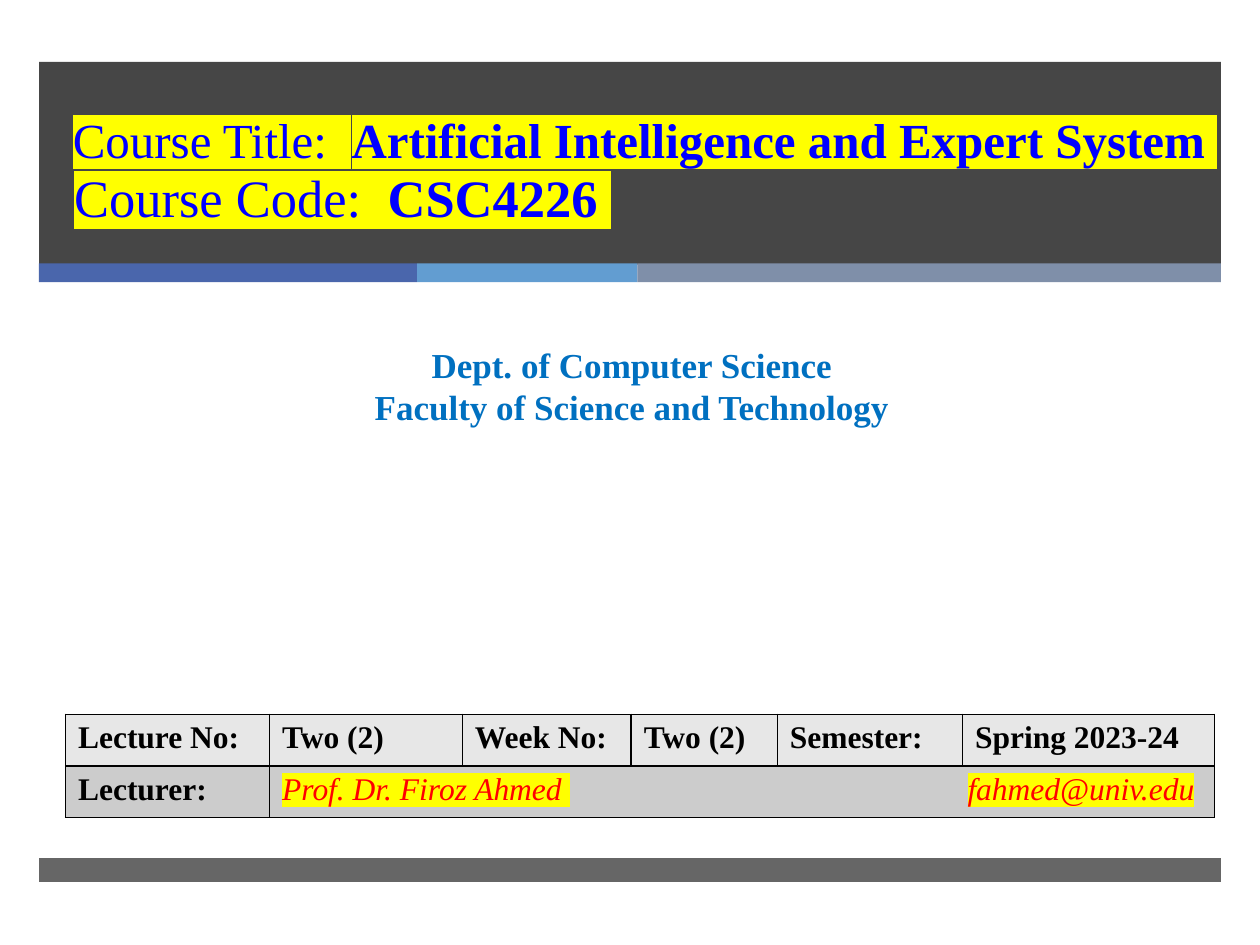
"""Build the title slide of a university course lecture."""
from lxml import etree
from pptx import Presentation, util as u
from pptx.dml.color import RGBColor
from pptx.enum import shapes, text
from pptx.oxml.ns import qn

COLORS = {"dark": "262626", "indigo": "4A66AC", "sky": "629DD1", "slate": "7F8FA9",
          "blue": "0000FF", "azure": "0070C0", "red": "FF0000", "black": "000000",
          "yellow": "FFFF00", "light": "E7E7E7", "grey": "CCCCCC"}
FONT = "Times New Roman"
BAND_LEFT, BAND_WIDTH = 0.31, 9.38
BANDS = [(0.49, 1.61, "dark", 85), (6.81, 0.19, "dark", 70)]
STRIPE_TOP, STRIPE_HEIGHT = 2.09, 0.15
STRIPES = [(3, "indigo"), (1.75, "sky"), (4.63, "slate")]
HEADINGS = [
    ((0.49, 1.22, 4.59, 0.53), 30, 0.09, "Course Code:  ", "CSC4226 "),
    ((0.48, 0.79, 9.29, 0.53), 28, 0.08, "Course Title:  ",
     "Artificial Intelligence and Expert System "),
]
DEPARTMENT = ["Dept. of Computer Science", "Faculty of Science and Technology"]
COLUMNS = [1.62, 1.53, 1.34, 1.16, 1.47, 2]
LECTURE = ["Lecture No:", "Two (2)", "Week No:", "Two (2)", "Semester:", "Spring 2023-24"]
LECTURER = ["Prof. Dr. Firoz Ahmed ", "\t", "fahmed@univ.edu"]
ROW_HEIGHT, EMAIL_TAB = 0.41, 7.24


def rgb(name):
    return RGBColor.from_string(COLORS[name])


def add_color(parent, name):
    return etree.SubElement(parent, qn("a:srgbClr"), val=COLORS[name])


def add_band(slide, left, top, width, height, color, opacity=100):
    band = slide.shapes.add_shape(shapes.MSO_SHAPE.RECTANGLE,
                                  *map(u.Inches, (left, top, width, height)))
    band.shadow.inherit = False
    band.line.fill.background()
    band.fill.solid()
    band.fill.fore_color.rgb = rgb(color)
    if opacity < 100:
        shade = band.fill._xPr.find(".//" + qn("a:srgbClr"))
        etree.SubElement(shade, qn("a:alpha"), val=str(opacity * 1000))


def add_run(paragraph, words, size, color, marked=False, **style):
    run = paragraph.add_run()
    run.text = words
    for key, value in {"name": FONT, "size": u.Pt(size), "bold": False, **style}.items():
        setattr(run.font, key, value)
    run.font.color.rgb = rgb(color)
    if marked:
        highlight = etree.Element(qn("a:highlight"))
        add_color(highlight, "yellow")
        run.font._element.find(qn("a:solidFill")).addnext(highlight)


def add_frame(slide, box, **style):
    frame = slide.shapes.add_textbox(*map(u.Inches, box)).text_frame
    for key, value in {"word_wrap": True, "vertical_anchor": text.MSO_ANCHOR.TOP,
                       **style}.items():
        setattr(frame, key, value)
    return frame


def style_cell(cell, fill):
    cell.fill.solid()
    cell.fill.fore_color.rgb = rgb(fill)
    properties = cell._tc.get_or_add_tcPr()
    for position, side in enumerate(("lnL", "lnR", "lnT", "lnB")):
        border = etree.Element(qn("a:" + side), w=str(u.Pt(1)))
        add_color(etree.SubElement(border, qn("a:solidFill")), "black")
        properties.insert(position, border)


def add_lecture_table(slide):
    table = slide.shapes.add_table(2, len(COLUMNS), *map(
        u.Inches, (0.52, 5.67, sum(COLUMNS), 2 * ROW_HEIGHT))).table
    for column, width in zip(table.columns, COLUMNS):
        column.width = u.Inches(width)
    for row, fill in zip(table.rows, ("light", "grey")):
        row.height = u.Inches(ROW_HEIGHT)
        for cell in row.cells:
            style_cell(cell, fill)
    for index, words in enumerate(LECTURE):
        add_run(table.cell(0, index).text_frame.paragraphs[0], words, 18, "black", bold=True)
    add_run(table.cell(1, 0).text_frame.paragraphs[0], "Lecturer:", 18, "black", bold=True)
    table.cell(1, 1).merge(table.cell(1, len(COLUMNS) - 1))
    contact = table.cell(1, 1).text_frame.paragraphs[0]
    tabs = etree.SubElement(contact._p.get_or_add_pPr(), qn("a:tabLst"))
    etree.SubElement(tabs, qn("a:tab"), pos=str(u.Inches(EMAIL_TAB)), algn="r")
    for words in LECTURER:
        add_run(contact, words, 18, "red", marked=words != "\t", italic=True)


def main():
    deck = Presentation()
    deck.slide_width, deck.slide_height = u.Inches(10), u.Inches(7.5)
    slide = deck.slides.add_slide(deck.slide_layouts[6])

    for top, height, color, opacity in BANDS:
        add_band(slide, BAND_LEFT, top, BAND_WIDTH, height, color, opacity)
    left = BAND_LEFT
    for width, color in STRIPES:
        add_band(slide, left, STRIPE_TOP, width, STRIPE_HEIGHT, color)
        left += width

    for box, size, inset, label, value in HEADINGS:
        heading = add_frame(slide, box, margin_top=u.Inches(inset), margin_bottom=0)
        add_run(heading.paragraphs[0], label, size, "blue", marked=True)
        add_run(heading.paragraphs[0], value, size, "blue", marked=True, bold=True)

    department = add_frame(slide, (0.08, 2.68, 9.87, 0.77))
    for index, words in enumerate(DEPARTMENT):
        line = department.add_paragraph() if index else department.paragraphs[0]
        line.alignment = text.PP_ALIGN.CENTER
        line.line_spacing = u.Pt(24)
        add_run(line, words, 20, "azure", bold=True)

    add_lecture_table(slide)
    deck.save("out.pptx")


if __name__ == "__main__":
    main()
